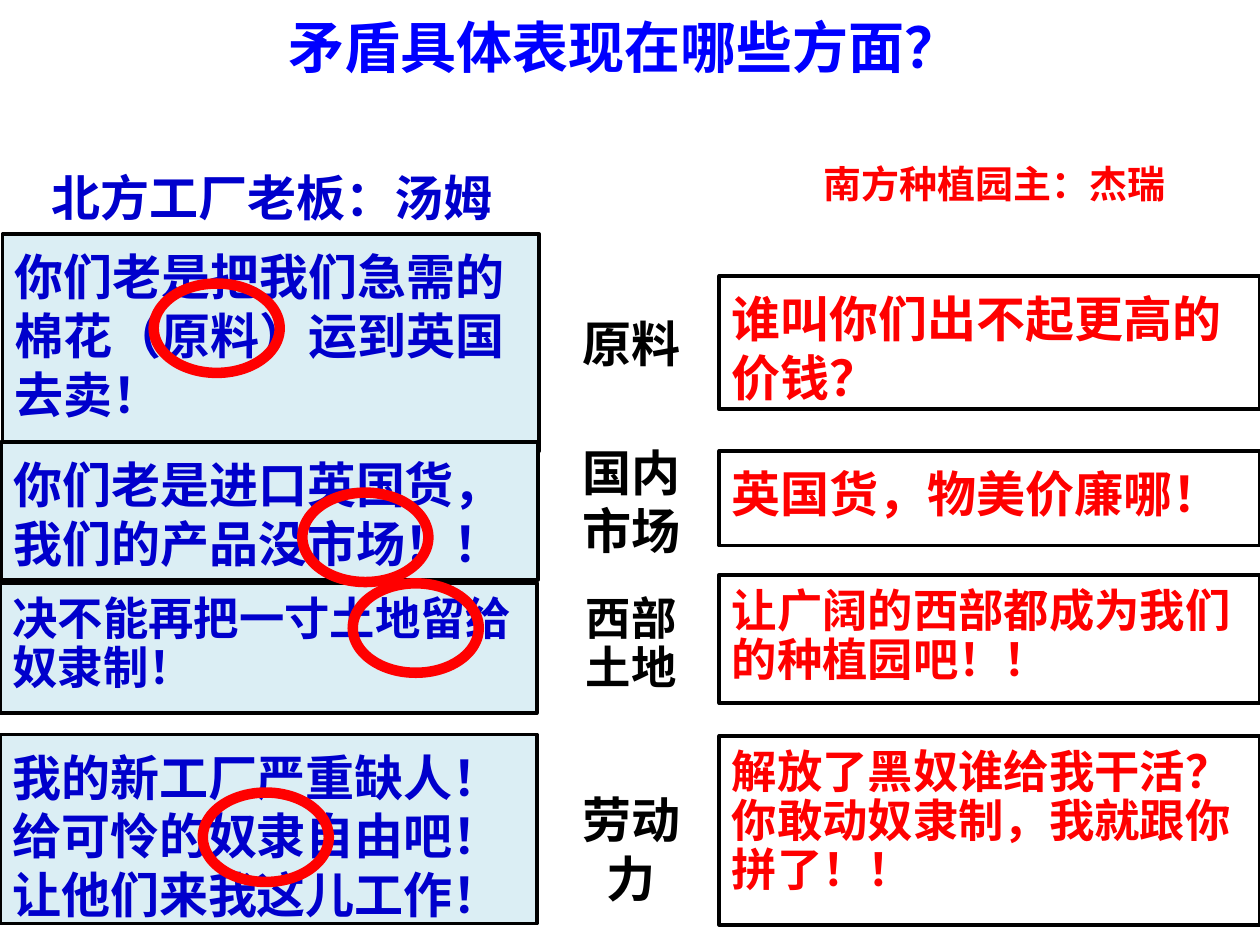
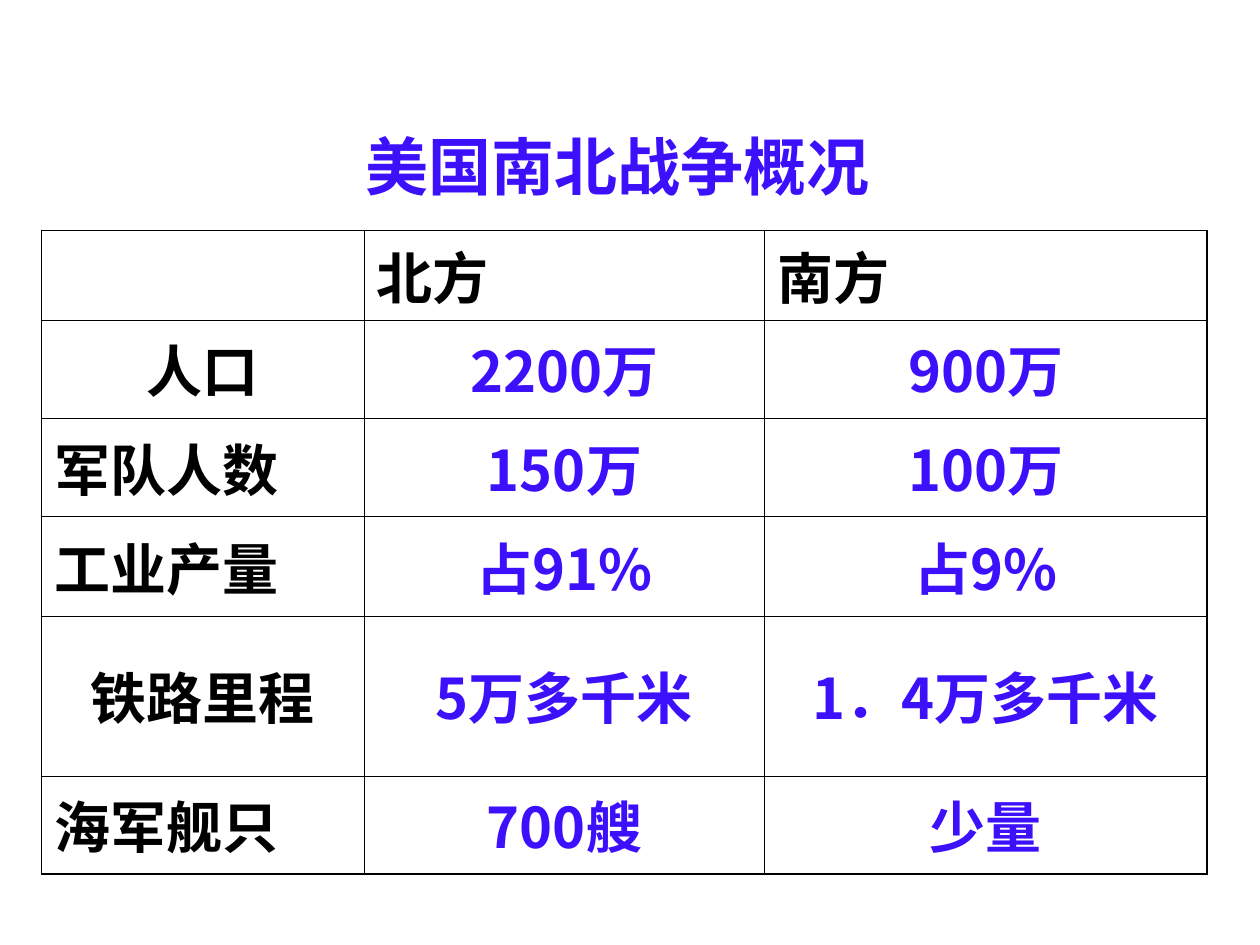
from lxml.etree import SubElement
from pptx import Presentation
from pptx.dml.color import RGBColor
from pptx.enum.shapes import MSO_SHAPE
from pptx.enum.text import MSO_ANCHOR, MSO_AUTO_SIZE, PP_ALIGN
from pptx.oxml.ns import qn
from pptx.util import Inches, Pt

FONT = "Noto Sans CJK SC"
HEADING_FONT = "Calibri"
BLACK, WHITE, RED = "000000", "FFFFFF", "FF0000"
NORTH_BLUE, NORTH_FILL = "0000CC", "DBEEF4"
TITLE_BLUE, VIOLET = "0000FF", "3D10FC"
LINE_HEIGHT = 1.2
TIGHT = 0.9


def color(value):
    return RGBColor.from_string(value)


class Deck:
    def __init__(self):
        self.presentation = Presentation()
        self.presentation.slide_width = Inches(10)
        self.presentation.slide_height = Inches(7.5)
        self.slide = None

    def add_slide(self):
        layout = self.presentation.slide_layouts[5]
        self.slide = self.presentation.slides.add_slide(layout)

    def set_text(self, text_frame, text, size, ink, font=FONT, align=PP_ALIGN.LEFT, spacing=1):
        text_frame.text = text
        paragraph = text_frame.paragraphs[0]
        paragraph.alignment = align
        paragraph.line_spacing = Pt(round(size * LINE_HEIGHT * spacing, 1))
        for run in paragraph.runs:
            run.font.size = Pt(size)
            run.font.bold = True
            run.font.name = font
            run.font.color.rgb = color(ink)
            SubElement(run.font._element, qn("a:ea"), typeface=FONT)

    def frame(self, shape):
        text_frame = shape.text_frame
        text_frame.word_wrap = True
        text_frame.auto_size = MSO_AUTO_SIZE.NONE
        text_frame.vertical_anchor = MSO_ANCHOR.TOP
        text_frame.margin_left = text_frame.margin_right = Inches(0.1)
        text_frame.margin_top = Inches(0.1)
        text_frame.margin_bottom = Inches(0)
        return text_frame

    def title(self, text, left, top, width, height, size, ink, font=FONT):
        title = self.slide.shapes.title
        title.left, title.top = Inches(left), Inches(top)
        title.width, title.height = Inches(width), Inches(height)
        self.set_text(self.frame(title), text, size, ink, font, PP_ALIGN.CENTER)

    def shape(self, kind, left, top, width, height, fill=None, line=None, weight=2.25):
        shape = self.slide.shapes.add_shape(
            kind, Inches(left), Inches(top), Inches(width), Inches(height))
        shape.shadow.inherit = False
        if fill:
            shape.fill.solid()
            shape.fill.fore_color.rgb = color(fill)
        else:
            shape.fill.background()
        if line:
            shape.line.color.rgb = color(line)
            shape.line.width = Pt(weight)
        else:
            shape.line.fill.background()
        return shape

    def box(self, text, left, top, width, height, fill, line, size, ink, **style):
        shape = self.shape(MSO_SHAPE.RECTANGLE, left, top, width, height, fill, line)
        self.set_text(self.frame(shape), text, size, ink, **style)

    def label(self, text, left, top, width, height, size, ink, **style):
        label = self.slide.shapes.add_textbox(
            Inches(left), Inches(top), Inches(width), Inches(height))
        self.set_text(self.frame(label), text, size, ink, HEADING_FONT, PP_ALIGN.CENTER, **style)

    def ring(self, left, top):
        self.shape(MSO_SHAPE.OVAL, left, top, 1, 0.71, line=RED, weight=6)

    def borders(self, cell, outer_sides):
        properties = cell._tc.get_or_add_tcPr()
        for side in "LRTB":
            width = Pt(1.08 if side in outer_sides else 0.45)
            line = SubElement(properties, qn(f"a:ln{side}"), w=str(width))
            fill = SubElement(line, qn("a:solidFill"))
            SubElement(fill, qn("a:srgbClr"), val=BLACK)

    def table(self, rows, left, top, widths, heights, size, centered_labels):
        table = self.slide.shapes.add_table(
            len(rows), len(widths), Inches(left), Inches(top),
            Inches(sum(widths)), Inches(sum(heights))).table
        table.first_row = table.horz_banding = False
        for column, width in zip(table.columns, widths):
            column.width = Inches(width)
        for row, height in zip(table.rows, heights):
            row.height = Inches(height)
        last_row, last_column = len(rows) - 1, len(widths) - 1
        for i, values in enumerate(rows):
            for j, value in enumerate(values):
                cell = table.cell(i, j)
                sides = {"T": i == 0, "B": i == last_row, "L": j == 0, "R": j == last_column}
                self.borders(cell, [side for side, outer in sides.items() if outer])
                cell.fill.solid()
                cell.fill.fore_color.rgb = color(WHITE)
                cell.vertical_anchor = MSO_ANCHOR.MIDDLE
                cell.margin_top, cell.margin_bottom = Inches(0.1), Inches(0)
                is_value = i > 0 and j > 0
                centered = is_value or value in centered_labels
                self.set_text(cell.text_frame, value, size, VIOLET if is_value else BLACK,
                              align=PP_ALIGN.CENTER if centered else PP_ALIGN.LEFT)


def add_conflict_slide(deck):
    deck.add_slide()
    deck.title("矛盾具体表现在哪些方面？", 1.42, 0, 7.08, 0.92, 32, TITLE_BLUE)
    heading = {"font": HEADING_FONT, "align": PP_ALIGN.CENTER}
    deck.box("北方工厂老板：汤姆", 0, 1.23, 4.32, 0.66, WHITE, None, 28, NORTH_BLUE, **heading)
    deck.box("南方种植园主：杰瑞", 5.78, 1.25, 4.22, 0.49, WHITE, None, 21.7, RED,
             spacing=0.8, **heading)

    north_arguments = [
        ("你们老是把我们急需的棉花（原料）运到英国去卖！", 0.02, 1.86, 1.72, 28, 1),
        ("你们老是进口英国货，我们的产品没市场！！", 0.01, 3.51, 1.09, 28, 1),
        ("决不能再把一寸土地留给奴隶制！", 0, 4.63, 1.03, 25.9, TIGHT),
        ("我的新工厂严重缺人！给可怜的奴隶自由吧！让他们来我这儿工作！", 0, 5.83, 1.5, 28, 1),
    ]
    for text, left, top, height, size, spacing in north_arguments:
        deck.box(text, left, top, 4.26, height, NORTH_FILL, BLACK, size, NORTH_BLUE,
                 spacing=spacing)

    south_replies = [
        ("谁叫你们出不起更高的价钱？", 2.19, 1.06, 28, 1),
        ("英国货，物美价廉哪！", 3.58, 0.75, 28, 1),
        ("让广阔的西部都成为我们的种植园吧！！", 4.56, 1.02, 25.9, TIGHT),
        ("解放了黑奴谁给我干活？你敢动奴隶制，我就跟你拼了！！", 5.84, 1.5, 25.9, TIGHT),
    ]
    for text, top, height, size, spacing in south_replies:
        deck.box(text, 5.71, top, 4.29, height, WHITE, BLACK, size, RED, spacing=spacing)

    topics = [
        ("原料", 2.39, 0.77, 28, 1),
        ("国内市场", 3.41, 1.09, 28, 1),
        ("西部土地", 4.63, 1.03, 25.9, TIGHT),
        ("劳动力", 6.17, 1.08, 28, 1),
    ]
    for text, top, height, size, spacing in topics:
        deck.label(text, 4.5, top, 1.02, height, size, BLACK, spacing=spacing)

    for left, top in [(1.22, 2.25), (2.4, 3.91), (2.8, 4.63), (1.61, 6.29)]:
        deck.ring(left, top)


def add_war_overview_slide(deck):
    deck.add_slide()
    deck.title("美国南北战争概况", 2.55, 0.91, 4.7, 0.7, 36, VIOLET, HEADING_FONT)
    rows = [
        ("", "北方", "南方"),
        ("人口", "2200万", "900万"),
        ("军队人数", "150万", "100万"),
        ("工业产量", "占91%", "占9%"),
        ("铁路里程", "5万多千米", "1．4万多千米"),
        ("海军舰只", "700艘", "少量"),
    ]
    deck.table(rows, 0.33, 1.83, [2.56, 3.18, 3.51], [0.71, 0.78, 0.78, 0.79, 1.27, 0.78],
               32, centered_labels=("人口", "铁路里程"))


def main():
    deck = Deck()
    add_conflict_slide(deck)
    add_war_overview_slide(deck)
    deck.presentation.save("out.pptx")


if __name__ == "__main__":
    main()
